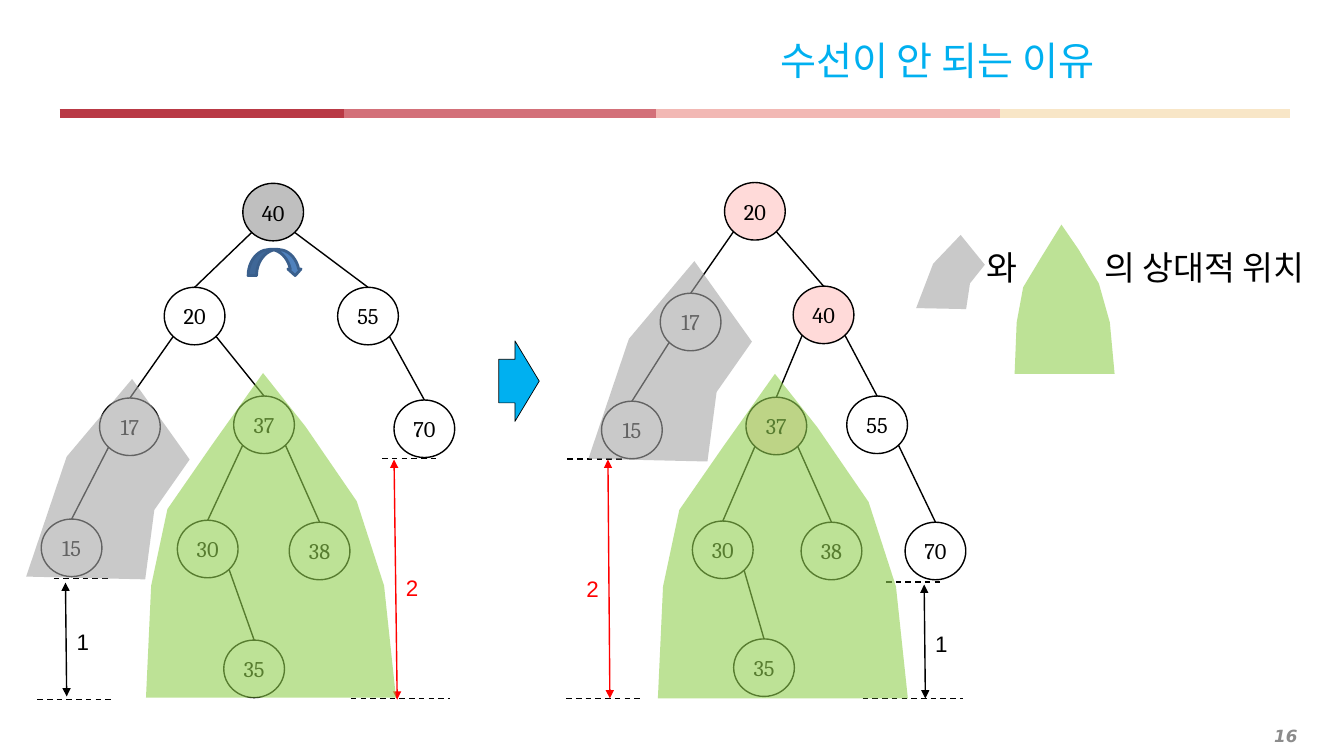
from lxml import etree
from pptx import Presentation
from pptx.dml.color import RGBColor
from pptx.enum.dml import MSO_LINE_DASH_STYLE as Dash
from pptx.enum.shapes import MSO_CONNECTOR as Connector, MSO_SHAPE as Preset
from pptx.enum.text import MSO_ANCHOR as Anchor, MSO_AUTO_SIZE as AutoSize, PP_ALIGN as Align
from pptx.oxml.ns import qn
from pptx.util import Cm, Pt

BLACK = RGBColor(0x00, 0x00, 0x00)
RED = RGBColor(0xFF, 0x00, 0x00)
SKY = RGBColor(0x00, 0xB0, 0xF0)
PINK = RGBColor(0xFF, 0xDA, 0xD9)
SILVER = RGBColor(0xBF, 0xBF, 0xBF)
GREY = RGBColor(0xA6, 0xA6, 0xA6)
GREEN = RGBColor(0x92, 0xD0, 0x50)
BLUE = RGBColor(0x4F, 0x81, 0xBD)
NAVY = RGBColor(0x3A, 0x5F, 0x8C)
NUMBER_GREY = RGBColor(0x8C, 0x8C, 0x8C)
CRIMSON = RGBColor(0xB9, 0x39, 0x45)
ROSE = RGBColor(0xD3, 0x70, 0x79)
SALMON = RGBColor(0xF2, 0xB8, 0xB4)
CREAM = RGBColor(0xF8, 0xE6, 0xC7)

KOREAN = "Noto Sans CJK KR"
TITLE_FONT = {"name": KOREAN, "size": Pt(28), "bold": False}
NODE_FONT = {"name": "Cambria", "size": Pt(16)}
LABEL_FONT = {"name": "Arial", "size": Pt(16)}
LEGEND_FONT = {"name": "Arial", "size": Pt(24)}
NUMBER_FONT = {"name": "DejaVu Sans", "size": Pt(12), "bold": True, "italic": True}

presentation = Presentation()
presentation.slide_width = Cm(33.87)
presentation.slide_height = Cm(19.05)
slide = presentation.slides.add_slide(presentation.slide_layouts[5])
shapes = slide.shapes


def write(shape, text, font_format, color, align=Align.LEFT):
    paragraph = shape.text_frame.paragraphs[0]
    paragraph.alignment = align
    run = paragraph.add_run()
    run.text = text
    for name, value in font_format.items():
        setattr(run.font, name, value)
    run.font.color.rgb = color
    east_asian = etree.SubElement(run.font._element, qn("a:ea"))
    east_asian.set("typeface", KOREAN)


def add_line(x1, y1, x2, y2, color=BLACK, width=1):
    connector = shapes.add_connector(Connector.STRAIGHT, Cm(x1), Cm(y1), Cm(x2), Cm(y2))
    connector.line.color.rgb = color
    connector.line.width = Pt(width)
    etree.SubElement(connector._element.spPr, qn("a:effectLst"))
    return connector


title = shapes.title
title.left, title.top, title.width, title.height = Cm(1.5), Cm(0.64), Cm(31.01), Cm(1.73)
title_frame = title.text_frame
title_frame.auto_size = AutoSize.NONE
title_frame.vertical_anchor = Anchor.MIDDLE
title_frame.margin_left = Cm(18.16)
write(title, "수선이 안 되는 이유", TITLE_FONT, SKY)

for start, end, color in [(7.87, 16.54, ROSE), (16.54, 25.2, SALMON),
                          (25.2, 32.51, CREAM), (1.5, 8.66, CRIMSON)]:
    add_line(start, 2.86, end, 2.86, color, 6)

NODE_WIDTH, NODE_HEIGHT = 1.53, 1.45
before_rotation = {
    "nodes": {"40": (6.12, 4.62), "20": (4.14, 7.24), "55": (8.51, 7.24), "17": (2.51, 10.03),
              "37": (5.89, 9.98), "70": (9.93, 10.08), "15": (1.04, 13.08), "30": (4.47, 13.11),
              "38": (7.29, 13.16), "35": (5.64, 16.13)},
    "edges": [("40", "20"), ("40", "55"), ("20", "17"), ("20", "37"), ("55", "70"),
              ("17", "15"), ("37", "30"), ("37", "38"), ("30", "35")],
    "fills": {"40": SILVER},
}
after_rotation = {
    "nodes": {"20": (18.26, 4.6), "17": (16.64, 7.39), "40": (19.99, 7.21), "15": (15.16, 10.11),
              "37": (18.8, 10.01), "55": (21.34, 9.98), "30": (17.45, 13.13), "38": (20.19, 13.16),
              "70": (22.81, 13.16), "35": (18.49, 16.1)},
    "edges": [("20", "17"), ("20", "40"), ("17", "15"), ("40", "37"), ("40", "55"),
              ("37", "30"), ("37", "38"), ("55", "70"), ("30", "35")],
    "fills": {"20": PINK, "40": PINK, "37": PINK},
}
for tree in (before_rotation, after_rotation):
    nodes = {}
    for key, (left, top) in tree["nodes"].items():
        node = shapes.add_shape(Preset.OVAL, Cm(left), Cm(top), Cm(NODE_WIDTH), Cm(NODE_HEIGHT))
        node.shadow.inherit = False
        if key in tree["fills"]:
            node.fill.solid()
            node.fill.fore_color.rgb = tree["fills"][key]
        else:
            node.fill.background()
        node.line.color.rgb = BLACK
        node.line.width = Pt(1)
        frame = node.text_frame
        frame.margin_left = frame.margin_right = 0
        frame.vertical_anchor = Anchor.MIDDLE
        write(node, key, NODE_FONT, BLACK, Align.CENTER)
        nodes[key] = node
    for parent, child in tree["edges"]:
        left, top = tree["nodes"][parent]
        child_left, child_top = tree["nodes"][child]
        side = 0.85 if child_left > left else 0.15
        edge = add_line(left + side * NODE_WIDTH, top + 0.85 * NODE_HEIGHT,
                        child_left + NODE_WIDTH / 2, child_top)
        edge.end_connect(nodes[child], 0)

for start, end, level in [(0.94, 2.79, 17.63), (1.35, 2.79, 14.57), (8.84, 11.35, 17.6),
                          (9.63, 11.07, 11.56), (14.27, 16.13, 17.6), (14.3, 15.75, 11.57),
                          (21.74, 24.28, 17.6), (22.33, 23.77, 14.67)]:
    add_line(start, level, end, level).line.dash_style = Dash.DASH

for x1, y1, x2, y2, color in [(1.65, 14.68, 1.68, 17.55, BLACK), (9.93, 11.58, 10.01, 17.63, RED),
                              (15.32, 11.58, 15.37, 17.6, RED), (23.29, 14.73, 23.32, 17.6, BLACK)]:
    height_arrow = add_line(x1, y1, x2, y2, color)
    for tip in ("a:headEnd", "a:tailEnd"):
        etree.SubElement(height_arrow.line._get_or_add_ln(), qn(tip)).set("type", "triangle")

GREEN_OUTLINE = [(0, 0), (-1.3, 1.83), (-2.41, 3.43), (-2.82, 5.36), (-2.95, 8.18),
                 (3.35, 8.18), (3.05, 5.36), (2.36, 3.23), (1.07, 1.35)]
GREY_OUTLINE = [(0, 0), (-1.65, 1.96), (-2.67, 4.98), (0.33, 5.05), (0.56, 3.3), (1.45, 2.03)]
for outline, color, apex_x, apex_y, scale_x, scale_y in [
        (GREEN_OUTLINE, GREEN, 6.63, 9.4, 1, 1), (GREEN_OUTLINE, GREEN, 19.53, 9.42, 1, 1),
        (GREY_OUTLINE, GREY, 3.33, 9.55, 1, 1), (GREY_OUTLINE, GREY, 17.5, 6.58, 1, 1),
        (GREY_OUTLINE, GREY, 24.21, 5.92, 0.42, 0.37), (GREEN_OUTLINE, GREEN, 26.75, 5.66, 0.4, 0.46)]:
    points = [(Cm(apex_x + x * scale_x), Cm(apex_y + y * scale_y)) for x, y in outline]
    builder = shapes.build_freeform(*points[0])
    builder.add_line_segments(points[1:], close=True)
    subtree = builder.convert_to_shape()
    subtree.shadow.inherit = False
    subtree.fill.solid()
    subtree.fill.fore_color.rgb = color
    subtree.line.fill.background()
    color_element = subtree._element.spPr.find(qn("a:solidFill"))[0]
    etree.SubElement(color_element, qn("a:alpha")).set("val", "60000")

for preset, left, top, width, height, adjustments, fill, line, weight in [
        (Preset.RIGHT_ARROW, 12.57, 8.59, 1.02, 2.03, (0.54, 0.6), SKY, BLACK, 0.5),
        (Preset.CURVED_RIGHT_ARROW, 6.6, 5.94, 0.66, 1.35, (0.32, 0.5, 0.25), BLUE, NAVY, 2)]:
    arrow = shapes.add_shape(preset, Cm(left), Cm(top), Cm(width), Cm(height))
    arrow.shadow.inherit = False
    arrow.fill.solid()
    arrow.fill.fore_color.rgb = fill
    arrow.line.color.rgb = line
    arrow.line.width = Pt(weight)
    for index, value in enumerate(adjustments):
        arrow.adjustments[index] = value
arrow.rotation = 270
arrow._element.spPr.find(qn("a:xfrm")).set("flipH", "1")

for text, left, top, width, height, font_format, color in [
        ("1", 1.68, 15.7, 0.84, 0.94, LABEL_FONT, BLACK),
        ("2", 9.98, 14.35, 0.84, 0.94, LABEL_FONT, RED),
        ("2", 14.53, 14.38, 0.84, 0.94, LABEL_FONT, RED),
        ("1", 23.32, 15.75, 0.84, 0.94, LABEL_FONT, BLACK),
        ("와", 24.61, 6.1, 1.37, 1.27, LEGEND_FONT, BLACK),
        ("의 상대적 위치", 27.58, 6.1, 6.12, 1.27, LEGEND_FONT, BLACK)]:
    label = shapes.add_textbox(Cm(left), Cm(top), Cm(width), Cm(height))
    label.text_frame.word_wrap = False
    write(label, text, font_format, color)

slide_number = shapes.add_textbox(Cm(0.51), Cm(18.14), Cm(32.44), Cm(0.79))
slide_number.text_frame.word_wrap = True
slide_number.text_frame.vertical_anchor = Anchor.MIDDLE
write(slide_number, "16", NUMBER_FONT, NUMBER_GREY, Align.RIGHT)

presentation.save("out.pptx")
